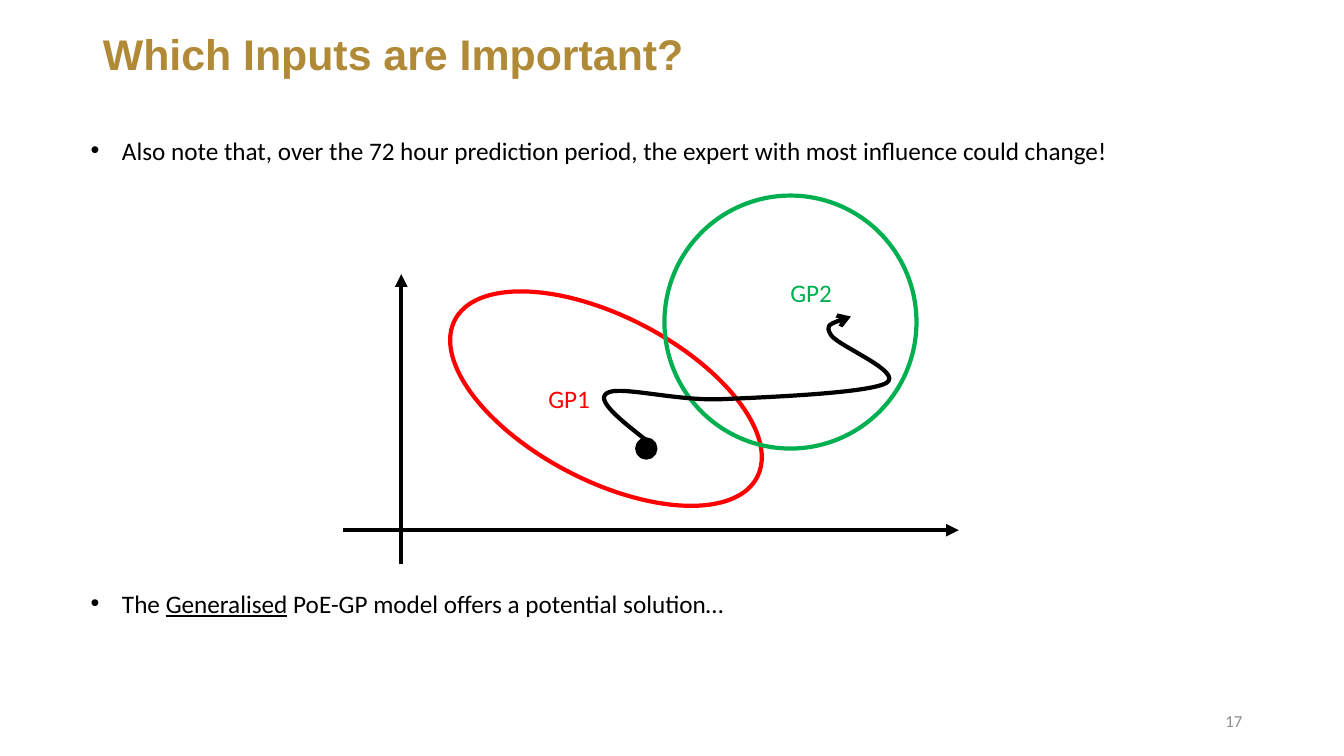
from dataclasses import dataclass

from lxml import etree
from pptx import Presentation
from pptx.dml.color import RGBColor
from pptx.enum.shapes import MSO_CONNECTOR, MSO_SHAPE
from pptx.enum.text import MSO_ANCHOR, MSO_AUTO_SIZE, PP_ALIGN
from pptx.oxml.ns import qn
from pptx.util import Inches, Pt

LINE, OVAL = MSO_CONNECTOR.STRAIGHT, MSO_SHAPE.OVAL
MIDDLE, FIXED = MSO_ANCHOR.MIDDLE, MSO_AUTO_SIZE.NONE
LEFT, RIGHT = PP_ALIGN.LEFT, PP_ALIGN.RIGHT
BLACK, RED, GREEN, GOLD, GREY = "000000", "FF0000", "00B050", "B18A38", "8C8C8C"

Point = tuple[float, float]
Box = tuple[float, float, float, float]


@dataclass
class Axis:
    start: Point
    end: Point


@dataclass
class Oval:
    box: Box
    color: str
    turn: float = 0
    solid: bool = False


@dataclass
class Label:
    text: str
    box: Box
    color: str
    size: float = 18
    align: PP_ALIGN = LEFT
    wrap: bool = False


AXES = [Axis((3.98, 5.6), (3.98, 2.72)), Axis((3.4, 5.26), (9.51, 5.26))]
OVALS = [
    Oval((4.32, 3.14, 3.38, 1.63), RED, turn=27.5),
    Oval((6.59, 1.94, 2.5, 2.51), GREEN),
    Oval((6.32, 4.36, 0.18, 0.18), BLACK, solid=True),
]
LABELS = [
    Label("GP1", (5.34, 3.75, 0.62, 0.4), RED),
    Label("GP2", (7.74, 2.7, 0.62, 0.4), GREEN),
    Label("17", (9.42, 6.95, 3, 0.4), GREY, 12, RIGHT, True),
]
START = (6.44, 4.39)
CURVES = [
    [(6.17, 4.18), (5.9, 3.97), (6.02, 3.9)],
    [(6.14, 3.82), (6.7, 3.98), (7.16, 3.96)],
    [(7.62, 3.94), (8.61, 3.9), (8.79, 3.8)],
    [(8.97, 3.69), (8.3, 3.43), (8.24, 3.32)],
    [(8.18, 3.22), (8.31, 3.18), (8.44, 3.14)],
]
BULLETS = [
    ["Also note that, over the 72 hour prediction period, "
     "the expert with most influence could change!"],
    ["The ", "Generalised", " PoE-GP model offers a potential solution…"],
]


def rgb(color: str) -> RGBColor:
    return RGBColor.from_string(color)


def place(shape, box: Box) -> None:
    for name, value in zip(("left", "top", "width", "height"), box):
        setattr(shape, name, Inches(value))


def style(font, color: str, **values) -> None:
    font.color.rgb = rgb(color)
    for name, value in values.items():
        setattr(font, name, value)


def stroke(line, color: str, head: str = "") -> None:
    line.color.rgb = rgb(color)
    line.width = Pt(3)
    if head:
        etree.SubElement(line._get_or_add_ln(), qn("a:tailEnd"), type=head)


def add_axis(slide, axis: Axis) -> None:
    ends = [Inches(value) for value in axis.start + axis.end]
    arrow = slide.shapes.add_connector(LINE, *ends)
    stroke(arrow.line, BLACK, "triangle")
    etree.SubElement(arrow._element.spPr, qn("a:effectLst"))


def add_oval(slide, oval: Oval) -> None:
    shape = slide.shapes.add_shape(OVAL, *map(Inches, oval.box))
    shape.shadow.inherit = False
    shape.rotation = oval.turn
    stroke(shape.line, oval.color)
    if oval.solid:
        shape.fill.solid()
        shape.fill.fore_color.rgb = rgb(oval.color)
    else:
        shape.fill.background()


def add_label(slide, label: Label) -> None:
    frame = slide.shapes.add_textbox(*map(Inches, label.box)).text_frame
    frame.word_wrap = label.wrap
    frame.vertical_anchor = MIDDLE
    para = frame.paragraphs[0]
    para.text = label.text
    para.alignment = label.align
    style(para.font, label.color, size=Pt(label.size), name="Calibri")


def add_track(slide) -> None:
    """Draw the path of the input as Bezier curves ending in an arrow."""
    build = slide.shapes.build_freeform(Inches(START[0]), Inches(START[1]))
    ends = [(Inches(x), Inches(y)) for *_, (x, y) in CURVES]
    build.add_line_segments(ends, close=False)
    track = build.convert_to_shape()
    track.shadow.inherit = False
    track.fill.background()
    stroke(track.line, BLACK, "arrow")
    steps = list(track._element.iter(qn("a:lnTo")))
    for step, curve in zip(steps, CURVES):
        step.clear()
        bend = etree.Element(qn("a:cubicBezTo"))
        for x, y in curve:
            etree.SubElement(bend, qn("a:pt"), x=str(Inches(x) - track.left),
                             y=str(Inches(y) - track.top))
        step.getparent().replace(step, bend)


def add_title(slide) -> None:
    title = slide.shapes.title
    place(title, (0.92, 0.37, 11.5, 0.39))
    frame = title.text_frame
    frame.text = "Which Inputs are Important?"
    frame.auto_size = FIXED
    frame.vertical_anchor = MIDDLE
    para = frame.paragraphs[0]
    para.alignment = LEFT
    para.line_spacing = 0.9
    style(para.font, GOLD, size=Pt(30.6), name="Arial", bold=True)


def add_body(slide) -> None:
    body = slide.placeholders[1]
    place(body, (0.8, 1.29, 11.71, 4.95))
    frame = body.text_frame
    frame.auto_size = FIXED
    for i, parts in enumerate(BULLETS):
        para = frame.add_paragraph() if i else frame.paragraphs[0]
        para.space_before = Pt(302 * i)
        props = para._p.get_or_add_pPr()
        props.set("marL", str(Inches(0.31)))
        props.set("indent", str(-Inches(0.31)))
        etree.SubElement(props, qn("a:buFont"), typeface="Arial")
        etree.SubElement(props, qn("a:buChar"), char="•")
        style(para.font, BLACK, size=Pt(18), name="Calibri")
        for text in parts:
            run = para.add_run()
            run.text = text
            style(run.font, BLACK, size=Pt(18), name="Calibri")
            if text == "Generalised":
                run.font.underline = True


def main() -> None:
    deck = Presentation()
    deck.slide_width, deck.slide_height = Inches(13.33), Inches(7.5)
    slide = deck.slides.add_slide(deck.slide_layouts[1])
    add_title(slide)
    add_body(slide)
    for axis in AXES:
        add_axis(slide, axis)
    for oval in OVALS:
        add_oval(slide, oval)
    for label in LABELS:
        add_label(slide, label)
    add_track(slide)
    deck.save("out.pptx")


if __name__ == "__main__":
    main()
